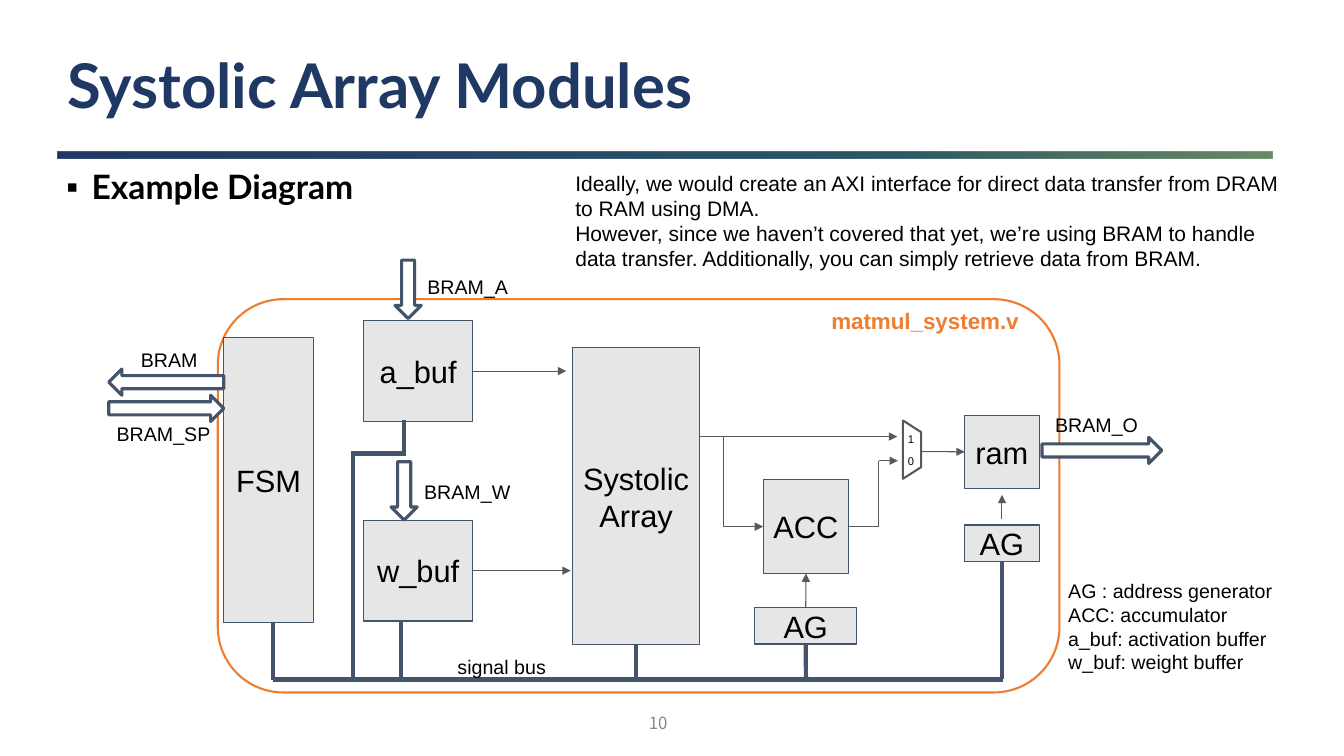
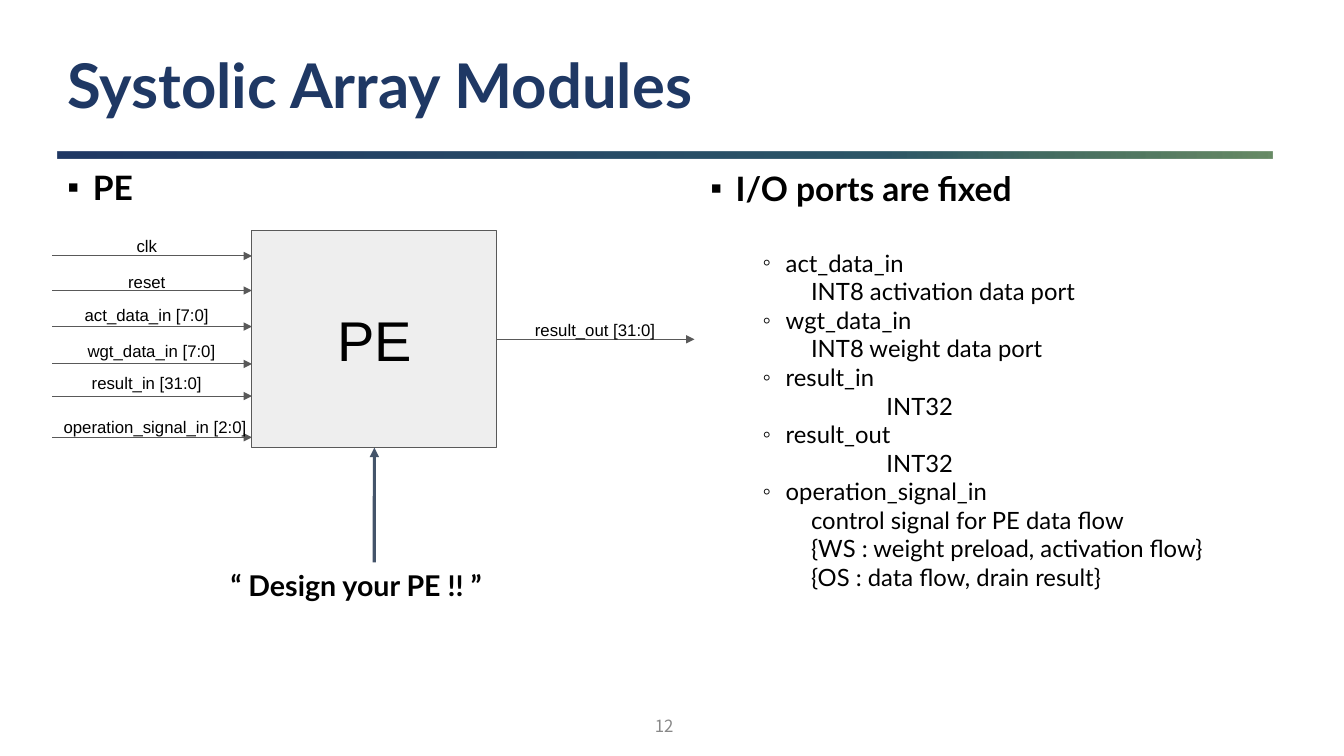
import pptx
import pptx.util
import pptx.dml.color
import pptx.enum.shapes
import pptx.enum.text
import pptx.oxml.ns
import lxml.etree

Cm = pptx.util.Cm
Pt = pptx.util.Pt
RGB = pptx.dml.color.RGBColor.from_string
qn = pptx.oxml.ns.qn
SHAPE = pptx.enum.shapes.MSO_SHAPE
ALIGN = pptx.enum.text.PP_ALIGN
ANCHOR = pptx.enum.text.MSO_ANCHOR

COLORS = {
    "title": "1F3864",
    "band start": "203864",
    "band middle": "2D5768",
    "band end": "295A26",
    "black": "000000",
    "number": "888888",
    "orange": "ED7D31",
    "slate": "44546A",
    "gray": "595959",
    "block": "E7E6E6",
    "element": "EEEEEE",
    "white": "FFFFFF",
}


def write(shape, text, size, font="Arial", color="black", bold=False,
          align=ALIGN.LEFT, anchor=ANCHOR.TOP, inset=(0.25, 0.25)):
    frame = shape.text_frame
    frame.text = text
    frame.word_wrap = True
    frame.auto_size = pptx.enum.text.MSO_AUTO_SIZE.NONE
    frame.vertical_anchor = anchor
    frame.margin_left = frame.margin_right = Cm(inset[0])
    frame.margin_top = frame.margin_bottom = Cm(inset[1])
    for para in frame.paragraphs:
        para.alignment = align
        for span in para.runs:
            span.font.size = Pt(size)
            span.font.name = font
            span.font.bold = bold
            span.font.color.rgb = RGB(COLORS[color])


def add_wire(page, ends, color="gray", width=0.75, arrow=False, start=None, finish=None):
    wire = page.shapes.add_connector(
        pptx.enum.shapes.MSO_CONNECTOR.STRAIGHT, *[Cm(value) for value in ends])
    if start:
        wire.begin_connect(*start)
    if finish:
        wire.end_connect(*finish)
    wire.line.color.rgb = RGB(COLORS[color])
    wire.line.width = Pt(width)
    if arrow:
        lxml.etree.SubElement(wire.line._get_or_add_ln(), qn("a:tailEnd"), type="triangle")
    lxml.etree.SubElement(wire.element.spPr, qn("a:effectLst"))


deck = pptx.Presentation()
deck.slide_width = Cm(33.87)
deck.slide_height = Cm(19.05)
layout = deck.slide_layouts[3]
heading = layout.placeholders[0]
heading.left, heading.top, heading.width, heading.height = Cm(1.45), Cm(0.48), Cm(30.61), Cm(3.51)
diagram_page = deck.slides.add_slide(layout)
element_page = deck.slides.add_slide(layout)

band = diagram_page.shapes.add_shape(SHAPE.RECTANGLE, Cm(1.45), Cm(3.81), Cm(30.61), Cm(0.18))
band.shadow.inherit = False
band.line.fill.background()
band.fill.gradient()
band.fill.gradient_angle = 0
stops = band.element.find(".//" + qn("a:gsLst"))
for stop in list(stops):
    stops.remove(stop)
for position, name, opacity in [(0, "band start", 100), (68, "band middle", 100), (100, "band end", 70)]:
    stop = lxml.etree.SubElement(stops, qn("a:gs"), pos=str(position * 1000))
    tint = lxml.etree.SubElement(stop, qn("a:srgbClr"), val=COLORS[name])
    lxml.etree.SubElement(tint, qn("a:alpha"), val=str(opacity * 1000))
band.element.find(".//" + qn("p:cNvPr")).set("id", "20")
layout.shapes.element.append(band.element)

for page, number, left, top in [(diagram_page, "10", 12.78, 17.58), (element_page, "12", 12.93, 17.65)]:
    write(page.shapes.title, "Systolic Array Modules", 44, "Lato", "title", True,
          anchor=ANCHOR.MIDDLE, inset=(0.25, 0))
    page.shapes.title.text_frame.paragraphs[0].line_spacing = 0.9
    box = page.shapes.add_textbox(Cm(left), Cm(top), Cm(7.62), Cm(1.02))
    write(box, number, 12, "Noto Sans CJK KR", "number", align=ALIGN.CENTER,
          anchor=ANCHOR.BOTTOM, inset=(0.25, 0.13))

unused = diagram_page.placeholders[2].element
unused.getparent().remove(unused)

list_styles = {
    "heading": (24, True, 0, 0.64, -0.64, "▪"),
    "port": (17, False, 1, 1.9, -0.58, "◦"),
    "detail": (17, False, 0, 1.9, 0.64, None),
    "type": (17, False, 0, 1.9, 2.54, None),
}
port_list = [
    ("heading", "I/O ports are fixed"),
    ("port", "act_data_in"),
    ("detail", "INT8 activation data port"),
    ("port", "wgt_data_in"),
    ("detail", "INT8 weight data port"),
    ("port", "result_in"),
    ("type", "INT32"),
    ("port", "result_out"),
    ("type", "INT32"),
    ("port", "operation_signal_in"),
    ("detail", "control signal for PE data flow"),
    ("detail", "{WS : weight preload, activation flow}"),
    ("detail", "{OS : data flow, drain result}"),
]
bodies = [
    (diagram_page.placeholders[1], (1.42, 4.17, 10.36, 2.54), 0.9, [("heading", "Example Diagram")]),
    (element_page.placeholders[1], (1.45, 4.27, 7.01, 2.26), 0.8, [("heading", "PE")]),
    (element_page.placeholders[2], (17.65, 4.09, 14.4, 13), 1.0, port_list),
]
for body, area, spacing, items in bodies:
    body.left, body.top, body.width, body.height = [Cm(value) for value in area]
    write(body, "\n".join(text for style, text in items), 17, "Lato", inset=(0.25, 0.13))
    for para, (style, text) in zip(body.text_frame.paragraphs, items):
        size, bold, level, margin, indent, bullet = list_styles[style]
        para.level = level
        para.line_spacing = spacing
        para.space_before = Pt(0)
        para.runs[0].font.size = Pt(size)
        para.runs[0].font.bold = bold
        settings = para._p.get_or_add_pPr()
        settings.set("marL", str(Cm(margin)))
        settings.set("indent", str(Cm(indent)))
        if bullet:
            paint = lxml.etree.SubElement(settings, qn("a:buClr"))
            lxml.etree.SubElement(paint, qn("a:srgbClr"), val=COLORS["black"])
            lxml.etree.SubElement(settings, qn("a:buChar"), char=bullet)
        else:
            lxml.etree.SubElement(settings, qn("a:buNone"))
element_page.placeholders[2].text_frame.paragraphs[1].space_before = Pt(29)

block_style = (SHAPE.RECTANGLE, 0, "block", "slate", 0.75, 22)
arrow_right = (SHAPE.RIGHT_ARROW, 0, "white", "slate", 2.25, 0)
arrow_down = (SHAPE.RIGHT_ARROW, 90, "white", "slate", 2.25, 0)
arrow_left = (SHAPE.RIGHT_ARROW, 180, "white", "slate", 2.25, 0)
figures = [
    (diagram_page, "frame", "", (5.49, 7.54, 21.21, 9.91),
     (SHAPE.ROUNDED_RECTANGLE, 0, None, "orange", 1.5, 0)),
    (diagram_page, "fsm", "FSM", (5.64, 8.51, 2.26, 7.19), block_style),
    (diagram_page, "array", "Systolic Array", (14.43, 8.76, 3.2, 7.49), block_style),
    (diagram_page, "acc", "ACC", (19.23, 12.09, 2.16, 2.36), block_style),
    (diagram_page, "acc address", "AG", (19.02, 15.32, 2.57, 0.91), block_style),
    (diagram_page, "ram", "ram", (24.31, 10.46, 1.88, 1.85), block_style),
    (diagram_page, "ram address", "AG", (24.31, 13.23, 1.88, 0.91), block_style),
    (diagram_page, "a_buf", "a_buf", (9.17, 8.08, 2.74, 2.54), block_style),
    (diagram_page, "w_buf", "w_buf", (9.17, 13.11, 2.74, 2.54), block_style),
    (diagram_page, "mux", "", (22.25, 11.1, 1.47, 0.46),
     (SHAPE.FLOWCHART_MANUAL_OPERATION, 270, "white", "gray", 1.5, 0)),
    (diagram_page, "bram_o", "", (26.26, 11.02, 3.02, 0.66), arrow_right),
    (diagram_page, "bram_a", "", (9.55, 6.96, 1.47, 0.66), arrow_down),
    (diagram_page, "bram_w", "", (9.45, 12.04, 1.47, 0.66), arrow_down),
    (diagram_page, "bram", "", (2.74, 9.3, 2.9, 0.66), arrow_left),
    (diagram_page, "bram_sp", "", (2.74, 9.96, 2.9, 0.66), arrow_right),
    (element_page, "pe", "PE", (6.35, 5.82, 6.17, 5.46),
     (SHAPE.RECTANGLE, 0, "element", "gray", 0.75, 40)),
]
parts = {}
for page, name, text, area, (kind, rotation, fill, line, width, size) in figures:
    part = page.shapes.add_shape(kind, *[Cm(value) for value in area])
    part.shadow.inherit = False
    part.rotation = rotation
    if fill:
        part.fill.solid()
        part.fill.fore_color.rgb = RGB(COLORS[fill])
    else:
        part.fill.background()
    part.line.color.rgb = RGB(COLORS[line])
    part.line.width = Pt(width)
    if text:
        write(part, text, size, align=ALIGN.CENTER, anchor=ANCHOR.MIDDLE, inset=(0.1, 0))
    parts[name] = part

data_wires = [
    ((11.91, 9.35, 14.27, 9.35), True, ("a_buf", 3), None),
    ((11.91, 14.38, 14.38, 14.38), True, ("w_buf", 3), None),
    ((17.63, 11, 22.61, 11), True, None, None),
    ((18.24, 13.27, 19.23, 13.27), True, None, ("acc", 1)),
    ((18.24, 13.27, 18.24, 11), False, None, None),
    ((20.31, 15.32, 20.31, 14.45), True, ("acc address", 0), ("acc", 2)),
    ((22.15, 11.61, 22.63, 11.61), True, None, None),
    ((22.15, 13.27, 21.39, 13.27), False, None, ("acc", 3)),
    ((22.15, 13.27, 22.15, 11.61), False, None, None),
    ((23.24, 11.38, 24.31, 11.38), True, None, ("ram", 1)),
    ((25.25, 13.08, 25.25, 12.47), True, None, None),
]
for ends, arrow, start, finish in data_wires:
    add_wire(diagram_page, ends, arrow=arrow,
             start=start and (parts[start[0]], start[1]),
             finish=finish and (parts[finish[0]], finish[1]))

bus_wires = [
    ((6.88, 17.12, 25.27, 17.12), None),
    ((6.88, 17.14, 6.88, 15.67), None),
    ((16.03, 17.12, 16.03, 16.25), "array"),
    ((10.11, 17.12, 10.11, 15.67), None),
    ((8.89, 17.12, 8.89, 11.43), None),
    ((10.19, 11.43, 10.19, 10.59), None),
    ((8.84, 11.43, 10.24, 11.43), None),
    ((20.31, 17.12, 20.31, 16.23), "acc address"),
    ((25.25, 17.12, 25.25, 14.14), "ram address"),
]
for ends, name in bus_wires:
    add_wire(diagram_page, ends, "slate", 3, finish=name and (parts[name], 2))

note = ("Ideally, we would create an AXI interface for direct data transfer from DRAM to RAM using DMA.\n"
        "However, since we haven’t covered that yet, we’re using BRAM to handle data transfer. "
        "Additionally, you can simply retrieve data from BRAM.")
legend = ("AG : address generator\nACC: accumulator\n"
          "a_buf: activation buffer\nw_buf: weight buffer")
labels = [
    ("1", (22.63, 10.64, 0.51, 0.91), 8, "black", False),
    ("0", (22.63, 11.2, 0.51, 0.91), 8, "black", False),
    ("signal bus", (11.28, 16.26, 3.3, 1.1), 14, "black", False),
    ("BRAM_A", (10.52, 6.68, 3.3, 1.1), 14, "black", False),
    ("BRAM_W", (10.44, 11.84, 3.3, 1.1), 14, "black", False),
    ("BRAM_O", (26.34, 10.16, 3.3, 1.1), 14, "black", False),
    ("BRAM", (3.3, 8.53, 3.3, 1.1), 14, "black", False),
    ("BRAM_SP", (2.69, 10.39, 3.3, 1.1), 14, "black", False),
    (note, (14.25, 4.04, 18.39, 3.23), 15, "black", False),
    (legend, (26.67, 14.35, 7.04, 2.95), 14, "black", False),
    ("matmul_system.v", (20.7, 7.49, 6.17, 1.12), 16, "orange", True),
]
for text, area, size, color, bold in labels:
    box = diagram_page.shapes.add_textbox(*[Cm(value) for value in area])
    write(box, text, size, color=color, bold=bold)

ports = [
    ("clk", 3.7, 5.69, 6.45),
    ("reset", 3.7, 6.6, 7.32),
    ("act_data_in [7:0]", 3.7, 7.42, 8.23),
    ("wgt_data_in [7:0]", 3.82, 8.33, 9.17),
    ("result_in [31:0]", 3.7, 9.14, 9.98),
    ("operation_signal_in [2:0]", 3.91, 10.24, 11.02),
    ("result_out [31:0]", 15, 7.8, 8.55),
]
for text, center, top, wire_top in ports:
    if text.startswith("result_out"):
        add_wire(element_page, (12.52, wire_top, 17.5, wire_top), arrow=True, start=(parts["pe"], 3))
    else:
        add_wire(element_page, (1.32, wire_top, 6.35, wire_top), arrow=True)
    box = element_page.shapes.add_textbox(Cm(center - 3.25), Cm(top), Cm(6.5), Cm(1))
    write(box, text, 12, align=ALIGN.CENTER)

add_wire(element_page, (9.43, 14.17, 9.43, 11.28), "slate", 2.25, True, finish=(parts["pe"], 2))
caption = element_page.shapes.add_textbox(Cm(5.56), Cm(14.17), Cm(8.13), Cm(1.45))
write(caption, "“ Design your PE !! ”", 20.4, "Lato", bold=True, inset=(0.25, 0.13))

deck.save("out.pptx")
